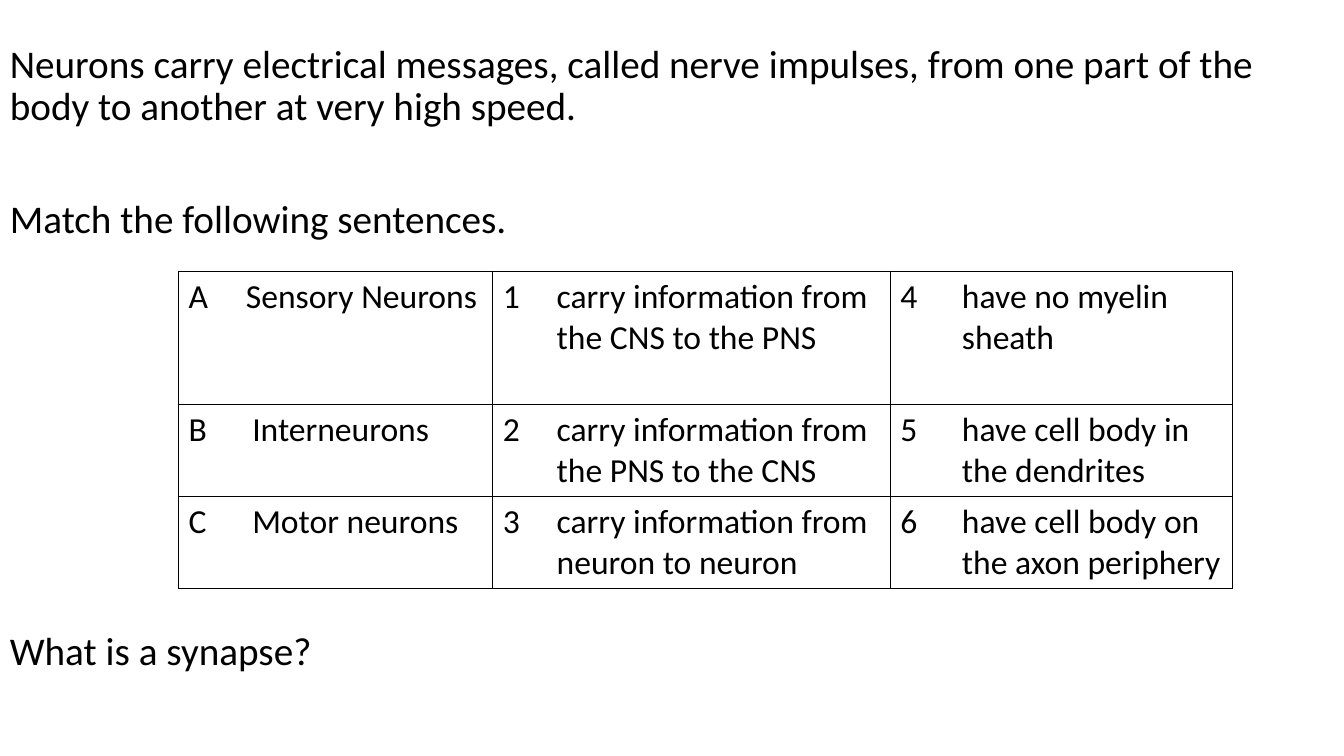
from lxml import etree
from pptx import Presentation
from pptx.dml.color import RGBColor
from pptx.enum import text
from pptx.oxml import ns
from pptx.util import Pt

COLORS = {"ink": "000000"}


class Sheet:
    def __init__(self, slide):
        self.slide = slide
        self.name = "Calibri"
        self.ink = RGBColor.from_string(COLORS["ink"])

    def style(self, para, size, **form):
        for key, val in form.items():
            setattr(para, key, val)
        for key, val in {"name": self.name, "size": Pt(size)}.items():
            setattr(para.font, key, val)
        para.font.color.rgb = self.ink

    def box(self, area, paras, size, **form):
        frame = self.slide.shapes.add_textbox(*map(Pt, area)).text_frame
        frame.word_wrap = True
        frame.vertical_anchor = text.MSO_ANCHOR.TOP
        for i, line in enumerate(paras):
            para = frame.add_paragraph() if i else frame.paragraphs[0]
            para.text = line
            gap = {"space_before": Pt(50.8)} if i else {}
            self.style(para, size, **form, **gap)

    def edge(self, cell):
        props = cell._tc.get_or_add_tcPr()
        for i, side in enumerate(("lnL", "lnR", "lnT", "lnB")):
            line = etree.Element(ns.qn("a:" + side), w=str(Pt(1)))
            fill = etree.SubElement(line, ns.qn("a:solidFill"))
            etree.SubElement(fill, ns.qn("a:srgbClr"), val=COLORS["ink"])
            props.insert(i, line)

    def cell(self, cell, label, words, indent, size):
        cell.fill.background()
        self.edge(cell)
        para = cell.text_frame.paragraphs[0]
        para.text = f"{label}\t{words}"
        # Hanging indent keeps wrapped words clear of the label
        props = para._p.get_or_add_pPr()
        props.set("marL", str(Pt(indent)))
        props.set("indent", str(-Pt(indent)))
        self.style(para, size)

    def table(self, left, top, cols, rows, cells, size):
        area = map(Pt, (left, top, sum(cols), sum(rows)))
        grid = self.slide.shapes.add_table(len(rows), len(cols), *area).table
        grid.first_row = grid.horz_banding = False
        for col, width in zip(grid.columns, cols):
            col.width = Pt(width)
        for row, height in zip(grid.rows, rows):
            row.height = Pt(height)
        for r, line in enumerate(cells):
            for c, item in enumerate(line):
                self.cell(grid.cell(r, c), *item, size)


def main():
    deck = Presentation()
    deck.slide_width, deck.slide_height = Pt(960), Pt(540)
    sheet = Sheet(deck.slides.add_slide(deck.slide_layouts[6]))

    # Introduction and task
    sheet.box((0, 28.1, 960, 342.7), [
        "Neurons carry electrical messages, called nerve impulses, "
        "from one part of the body to another at very high speed.",
        "Match the following sentences.",
    ], 28, line_spacing=0.9)

    # Matching table: label, words, indent
    cells = [
        [("A", "Sensory Neurons", 41),
         ("1", "carry information from\vthe CNS to the PNS", 38.5),
         ("4", "have no myelin\vsheath", 44)],
        [("B", "Interneurons", 45.5),
         ("2", "carry information from\vthe PNS to the CNS", 38.5),
         ("5", "have cell body in\vthe dendrites", 44)],
        [("C", "Motor neurons", 45.5),
         ("3", "carry information from\vneuron to neuron", 38.5),
         ("6", "have cell body on\vthe axon periphery", 44)],
    ]
    sheet.table(127.5, 193.7, (224.5, 284, 244.5), (95.2, 65.8, 65.8),
                cells, 24)

    # Closing question
    sheet.box((0, 444.2, 255, 41), ["What is a synapse?"], 28)

    deck.save("out.pptx")


if __name__ == "__main__":
    main()
